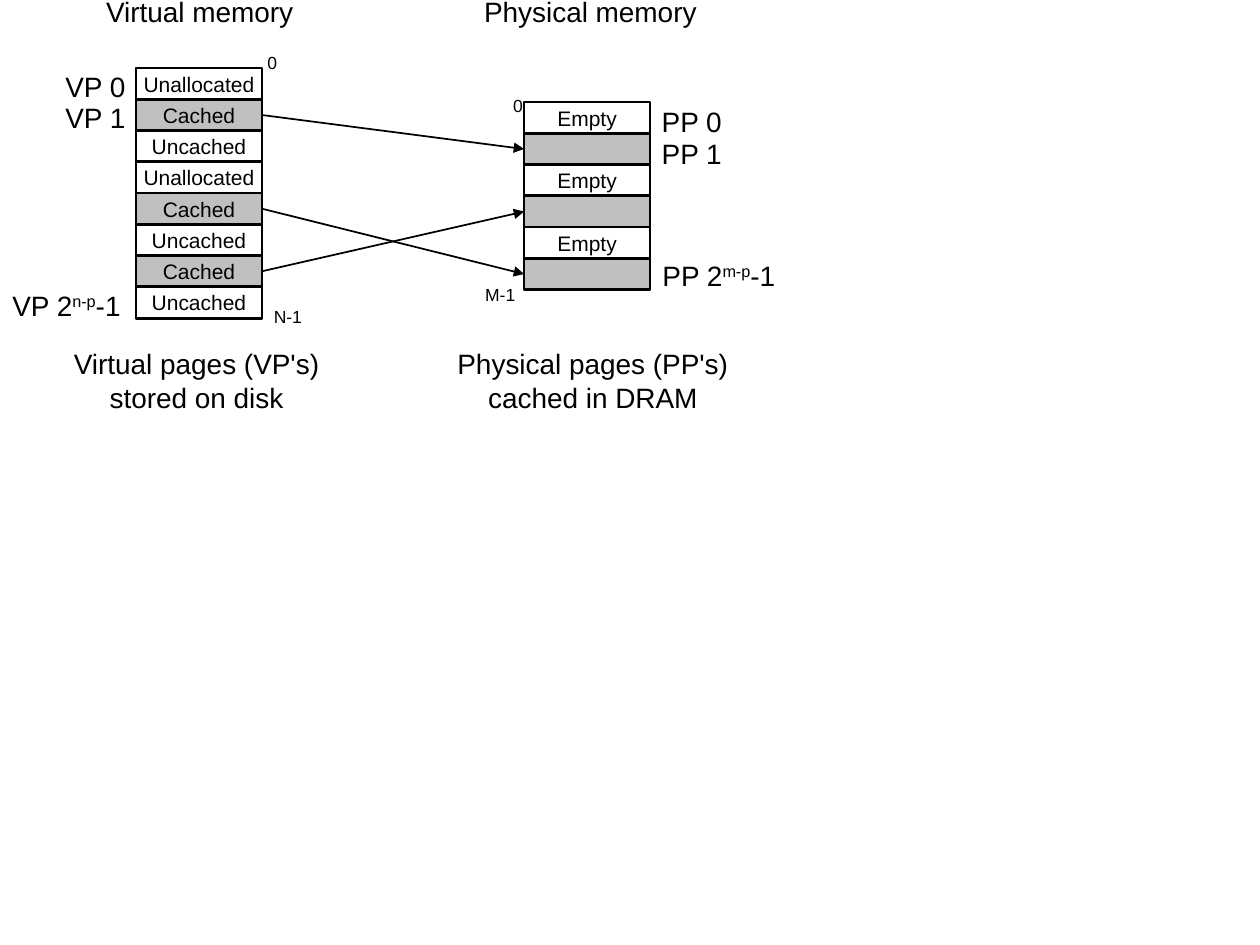
from lxml.etree import SubElement
from pptx import Presentation
from pptx.dml.color import RGBColor
from pptx.enum.shapes import MSO_CONNECTOR, MSO_SHAPE
from pptx.enum.text import MSO_ANCHOR, PP_ALIGN
from pptx.oxml.ns import qn
from pptx.util import Inches, Pt


def color(value):
    return RGBColor.from_string(value)


def write(shape, text, size=16, align=PP_ALIGN.CENTER, anchor=MSO_ANCHOR.MIDDLE, spacing=None):
    frame = shape.text_frame
    frame.word_wrap = False
    frame.vertical_anchor = anchor
    for index, line in enumerate(text.split("\n")):
        para = frame.paragraphs[0] if index == 0 else frame.add_paragraph()
        para.alignment = align
        if spacing:
            para.line_spacing = spacing
        for part, words in enumerate(line.split("^")):
            span = para.add_run()
            span.text = words
            span.font.name = "Arial"
            span.font.size = Pt(size)
            span.font.color.rgb = color("000000")
            if part == 1:
                span.font._element.set("baseline", "30000")


deck = Presentation()
deck.slide_width = Inches(10)
deck.slide_height = Inches(7.5)
page = deck.slides.add_slide(deck.slide_layouts[6])

cell_pitch = 0.248
memories = [
    (1.08, 0.54, ["Unallocated", "Cached", "Uncached", "Unallocated",
                  "Cached", "Uncached", "Cached", "Uncached"], "Cached"),
    (4.16, 0.81, ["Empty", "", "Empty", "", "Empty", ""], ""),
]
columns = []
for left, top, names, shaded in memories:
    cells = []
    for row, name in enumerate(names):
        cell = page.shapes.add_shape(
            MSO_SHAPE.RECTANGLE, Inches(left), Inches(top + row * cell_pitch), Inches(1), Inches(0.25))
        cell.shadow.inherit = False
        cell.fill.solid()
        cell.fill.fore_color.rgb = color("C0C0C0" if name == shaded else "FFFFFF")
        cell.line.color.rgb = color("000000")
        cell.line.width = Pt(1.5)
        if name:
            write(cell, name, size=12)
        cells.append(cell)
    columns.append(cells)

virtual_pages, physical_pages = columns
for virtual, physical in [(1, 1), (4, 5), (6, 3)]:
    arrow = page.shapes.add_connector(MSO_CONNECTOR.STRAIGHT, 0, 0, 0, 0)
    arrow.begin_connect(virtual_pages[virtual], 3)
    arrow.end_connect(physical_pages[physical], 1)
    arrow.line.color.rgb = color("000000")
    arrow.line.width = Pt(1)
    SubElement(arrow.line._get_or_add_ln(), qn("a:tailEnd"), type="triangle")
    SubElement(arrow._element.spPr, qn("a:effectLst"))

tight_left = dict(align=PP_ALIGN.LEFT, anchor=MSO_ANCHOR.TOP, spacing=0.9)
tight_center = dict(anchor=MSO_ANCHOR.TOP, spacing=0.9)
labels = [
    ("Virtual memory", 0.74, -0.06, 1.69, 0.34, tight_center),
    ("Physical memory", 3.74, -0.06, 1.89, 0.34, tight_center),
    ("VP 0", 0.42, 0.53, 0.68, 0.34, tight_left),
    ("VP 1", 0.42, 0.78, 0.68, 0.34, tight_left),
    ("VP 2^n-p^-1", 0, 2.27, 1.1, 0.34, tight_left),
    ("PP 0", 5.15, 0.78, 0.68, 0.37, {}),
    ("PP 1", 5.15, 1.03, 0.68, 0.37, {}),
    ("PP 2^m-p^-1", 5.16, 2.03, 1.14, 0.34, tight_left),
    ("0", 2.02, 0.36, 0.28, 0.27, dict(size=10)),
    ("N-1", 2.07, 2.38, 0.43, 0.27, dict(size=10)),
    ("0", 3.97, 0.7, 0.28, 0.27, dict(size=10)),
    ("M-1", 3.75, 2.2, 0.44, 0.27, dict(size=10)),
    ("Virtual pages (VP's)\nstored on disk", 0.45, 2.7, 2.22, 0.64, {}),
    ("Physical pages (PP's)\ncached in DRAM", 3.5, 2.7, 2.41, 0.64, {}),
]
for text, left, top, width, height, style in labels:
    box = page.shapes.add_textbox(Inches(left), Inches(top), Inches(width), Inches(height))
    write(box, text, **style)

deck.save("out.pptx")
